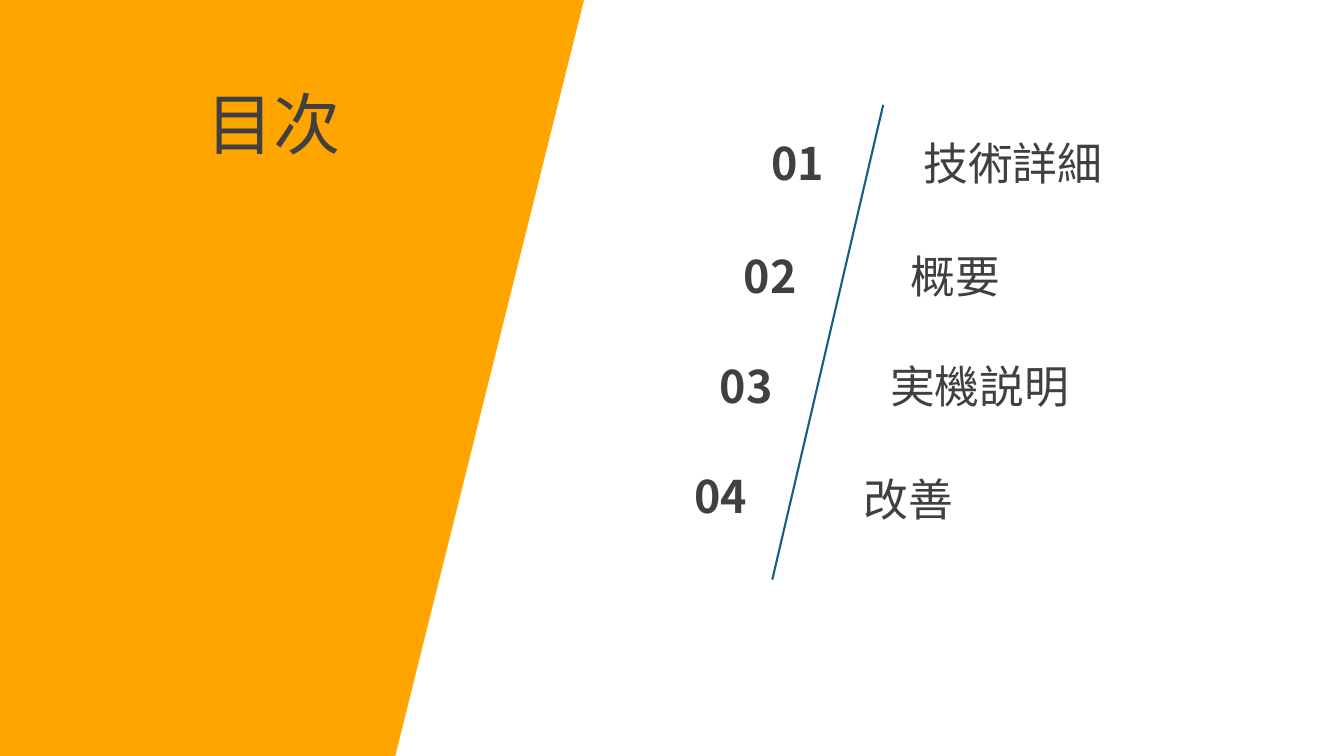
from dataclasses import dataclass

from lxml import etree
from pptx import Presentation
from pptx.dml.color import RGBColor
from pptx.enum.shapes import MSO_CONNECTOR, MSO_SHAPE
from pptx.enum.text import MSO_AUTO_SIZE
from pptx.oxml.ns import qn
from pptx.util import Inches, Pt

ORANGE = RGBColor(0xFF, 0xA5, 0x00)
GRAY = RGBColor(0x40, 0x40, 0x40)
BLUE = RGBColor(0x15, 0x60, 0x82)
FONT = "Noto Sans CJK JP"
PARALLELOGRAM = MSO_SHAPE.PARALLELOGRAM
STRAIGHT = MSO_CONNECTOR.STRAIGHT
GROW = MSO_AUTO_SIZE.SHAPE_TO_FIT_TEXT
ROW_HEIGHT = 0.64
NUMBER_WIDTH = 0.79


@dataclass(frozen=True)
class Label:
    text: str
    left: float
    top: float
    width: float
    height: float = ROW_HEIGHT
    size: int = 32
    bold: bool = False


@dataclass(frozen=True)
class Entry:
    title: str
    title_left: float
    title_top: float
    title_width: float
    number_left: float
    number_top: float


HEADING = Label("目次", 1.95, 0.77, 2.14, 0.91, 48)
ENTRIES = [
    Entry("技術詳細", 9.06, 1.3, 2.84, 7.55, 1.3),
    Entry("概要", 8.93, 2.42, 1.45, 7.28, 2.42),
    Entry("実機説明", 8.73, 3.51, 2.64, 7.04, 3.51),
    Entry("改善", 8.47, 4.63, 1.45, 6.79, 4.6),
]


def add_label(slide, label: Label) -> None:
    box = (label.left, label.top, label.width, label.height)
    sp = slide.shapes.add_textbox(*map(Inches, box))
    tf = sp.text_frame
    tf.word_wrap = True
    tf.auto_size = GROW
    r = tf.paragraphs[0].add_run()
    r.text = label.text
    formats = {"name": FONT, "size": Pt(label.size), "bold": label.bold}
    for name, value in formats.items():
        setattr(r.font, name, value)
    r.font.color.rgb = GRAY
    etree.SubElement(r.font._element, qn("a:ea"), typeface=FONT)


def add_entry(slide, number: int, entry: Entry) -> None:
    add_label(slide, Label(entry.title, entry.title_left, entry.title_top, entry.title_width))
    add_label(slide, Label(f"{number:02}", entry.number_left, entry.number_top,
                           NUMBER_WIDTH, bold=True))


def add_panel(slide) -> None:
    sp = slide.shapes.add_shape(PARALLELOGRAM, *map(Inches, (-1.99, -0.39, 7.88, 7.89)))
    sp.shadow.inherit = False
    sp.fill.solid()
    sp.fill.fore_color.rgb = ORANGE
    sp.line.fill.background()


def add_divider(slide) -> None:
    line = slide.shapes.add_connector(STRAIGHT, *map(Inches, (8.76, 1.04, 7.66, 5.75)))
    line.line.color.rgb = BLUE
    line.line.width = Pt(1.5)
    etree.SubElement(line._element.spPr, qn("a:effectLst"))


def main() -> None:
    prs = Presentation()
    prs.slide_width = Inches(13.33)
    prs.slide_height = Inches(7.5)
    slide = prs.slides.add_slide(prs.slide_layouts[6])
    add_panel(slide)
    add_label(slide, HEADING)
    for number, entry in enumerate(ENTRIES, 1):
        add_entry(slide, number, entry)
    add_divider(slide)
    prs.save("out.pptx")


if __name__ == "__main__":
    main()
